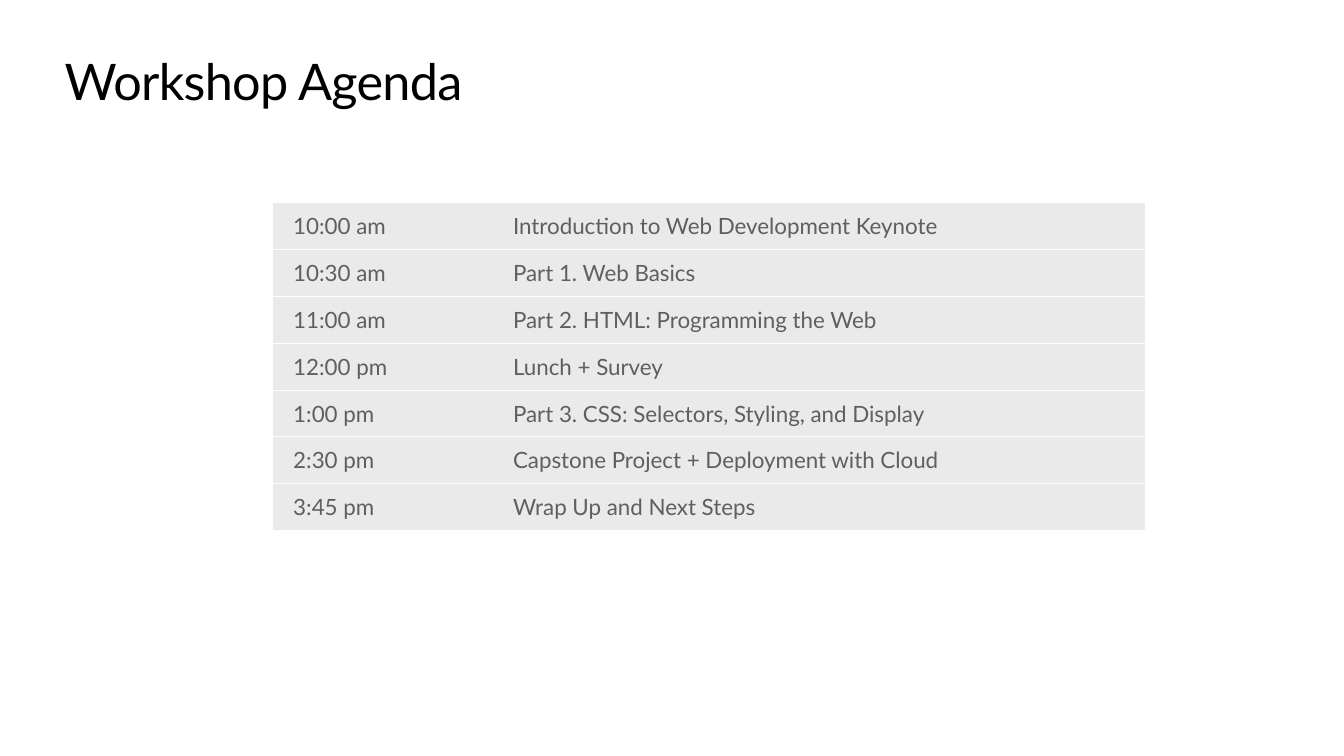
from pptx import Presentation
from pptx.dml.color import RGBColor as RGB
from pptx.enum.text import MSO_ANCHOR as Anchor
from pptx.oxml import parse_xml
from pptx.oxml.ns import nsdecls
from pptx.util import Cm, Pt

TITLE = "Workshop Agenda"
AGENDA = [
    ("10:00 am", "Introduction to Web Development Keynote"),
    ("10:30 am", "Part 1. Web Basics"),
    ("11:00 am", "Part 2. HTML: Programming the Web"),
    ("12:00 pm", "Lunch + Survey"),
    ("1:00 pm", "Part 3. CSS: Selectors, Styling, and Display"),
    ("2:30 pm", "Capstone Project + Deployment with Cloud"),
    ("3:45 pm", "Wrap Up and Next Steps"),
]
COLORS = {"title": "000000", "text": "5F5F5F", "cell": "EAEAEA", "rule": "FFFFFF"}
FONT = "Lato"
COLUMN_WIDTHS = (5.54, 16.43)
ROW_HEIGHT = 1.18


def add_run(p, text, size, color):
    r = p.add_run()
    r.text = text
    r.font.name = FONT
    r.font.size = Pt(size)
    r.font.color.rgb = RGB.from_string(COLORS[color])
    return r


def set_borders(cell):
    rule = f'<a:solidFill><a:srgbClr val="{COLORS["rule"]}"/></a:solidFill>'
    sides = {"lnL": "<a:noFill/>", "lnR": "<a:noFill/>", "lnT": rule, "lnB": rule}
    tc_pr = cell._tc.get_or_add_tcPr()
    for i, (side, paint) in enumerate(sides.items()):
        xml = f'<a:{side} {nsdecls("a")} w="{Pt(0.75)}">{paint}</a:{side}>'
        tc_pr.insert(i, parse_xml(xml))


def fill_cell(cell, text):
    cell.margin_left = cell.margin_right = Cm(0.51)
    cell.margin_top = cell.margin_bottom = Cm(0.25)
    cell.vertical_anchor = Anchor.MIDDLE
    cell.fill.solid()
    cell.fill.fore_color.rgb = RGB.from_string(COLORS["cell"])
    set_borders(cell)
    add_run(cell.text_frame.paragraphs[0], text, 16, "text")


def add_title(s):
    tf = s.shapes.add_textbox(Cm(1.63), Cm(1.27), Cm(30.61), Cm(1.55)).text_frame
    tf.word_wrap = True
    tf.margin_left = tf.margin_right = tf.margin_top = tf.margin_bottom = 0
    r = add_run(tf.paragraphs[0], TITLE, 36, "title")
    r.font._element.set("spc", "-50")


def add_agenda(s):
    table = s.shapes.add_table(
        len(AGENDA), len(COLUMN_WIDTHS), Cm(6.88), Cm(5.11),
        Cm(sum(COLUMN_WIDTHS)), Cm(ROW_HEIGHT * len(AGENDA)),
    ).table
    table.first_row = table.horz_banding = False
    for column, width in zip(table.columns, COLUMN_WIDTHS):
        column.width = Cm(width)
    for row, entry in zip(table.rows, AGENDA):
        row.height = Cm(ROW_HEIGHT)
        for cell, text in zip(row.cells, entry):
            fill_cell(cell, text)


def main():
    prs = Presentation()
    prs.slide_width, prs.slide_height = Cm(33.87), Cm(19.05)
    s = prs.slides.add_slide(prs.slide_layouts[6])
    add_title(s)
    add_agenda(s)
    prs.save("out.pptx")


if __name__ == "__main__":
    main()
